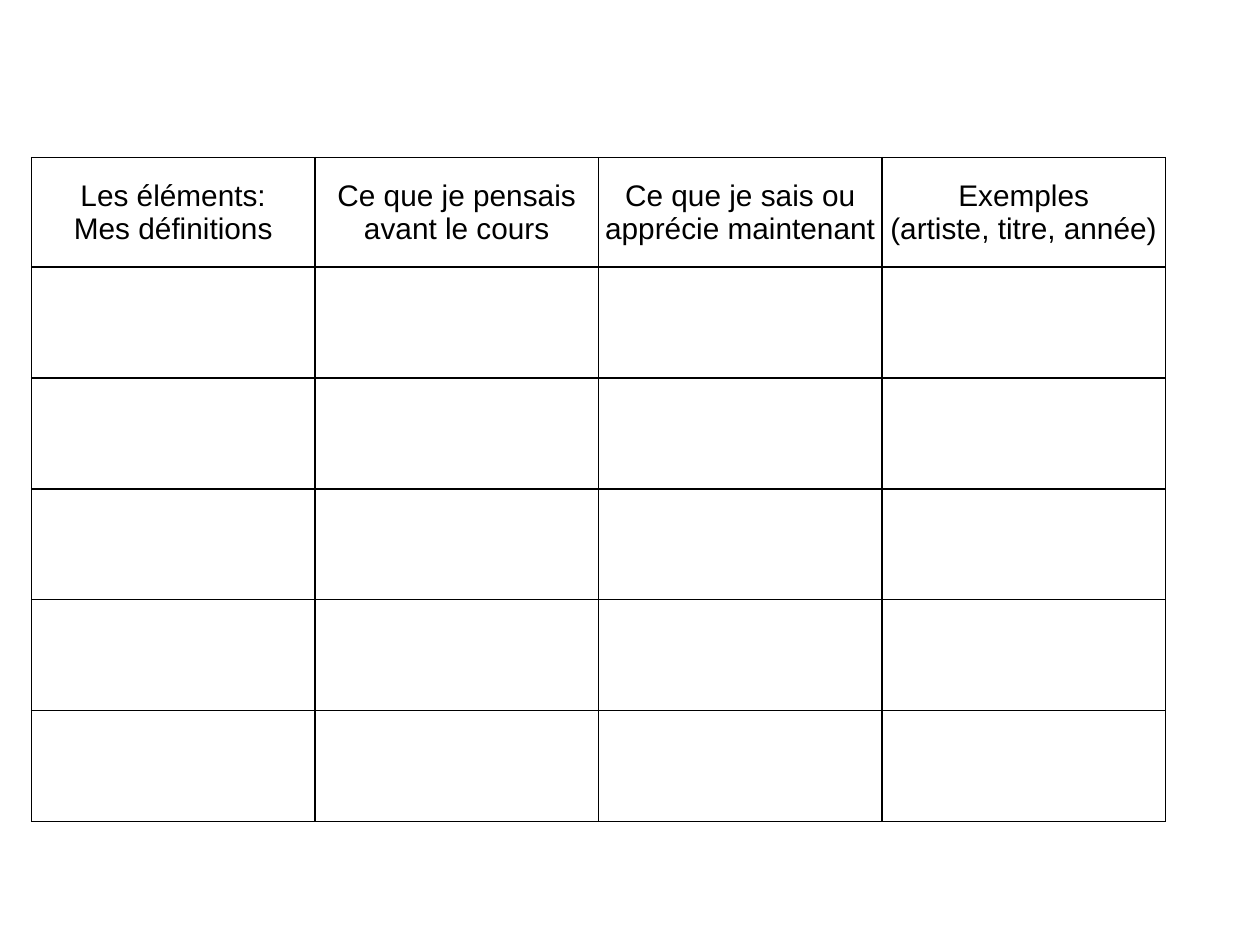
from lxml.etree import SubElement
from pptx import Presentation
from pptx.dml.color import RGBColor
from pptx.enum.text import MSO_ANCHOR, PP_ALIGN
from pptx.oxml.ns import qn
from pptx.util import Inches, Pt

HEADERS = [
    "Les éléments:\nMes définitions",
    "Ce que je pensais avant le cours",
    "Ce que je sais ou apprécie maintenant",
    "Exemples\n(artiste, titre, année)",
]
EMPTY_ROWS = 5
BLACK, WHITE = "000000", "FFFFFF"


def color(value):
    return RGBColor.from_string(value)


def style_cell(cell):
    """Set zero margins, black borders and a white fill."""
    cell.margin_left = cell.margin_right = cell.margin_top = cell.margin_bottom = 0
    cell.vertical_anchor = MSO_ANCHOR.MIDDLE
    tc_pr = cell._tc.get_or_add_tcPr()
    for side in ("a:lnL", "a:lnR", "a:lnT", "a:lnB"):
        line = SubElement(tc_pr, qn(side), w=str(Pt(1)))
        fill = SubElement(line, qn("a:solidFill"))
        SubElement(fill, qn("a:srgbClr"), val=BLACK)
    cell.fill.solid()
    cell.fill.fore_color.rgb = color(WHITE)


def write_header(cell, text):
    cell.text_frame.text = text
    for p in cell.text_frame.paragraphs:
        p.alignment = PP_ALIGN.CENTER
        for r in p.runs:
            r.font.name = "Arial"
            r.font.size = Pt(17)
            r.font.bold = False
            r.font.color.rgb = color(BLACK)


def add_worksheet(slide, left, top, width, height):
    """Add a table with one header row above equal empty rows."""
    rows, cols = EMPTY_ROWS + 1, len(HEADERS)
    table = slide.shapes.add_table(rows, cols, left, top, width, height).table
    table.horz_banding = False
    for column in table.columns:
        column.width = width // cols
    for row in table.rows:
        row.height = height // rows
    table.rows[0].height = Inches(0.87)
    for cell in table.iter_cells():
        style_cell(cell)
    for cell, text in zip(table.rows[0].cells, HEADERS):
        write_header(cell, text)


def main():
    prs = Presentation()
    prs.slide_width, prs.slide_height = Inches(10), Inches(7.5)
    slide = prs.slides.add_slide(prs.slide_layouts[6])
    add_worksheet(slide, Inches(0.25), Inches(1.25), Inches(9), Inches(5.28))
    prs.save("out.pptx")


if __name__ == "__main__":
    main()
